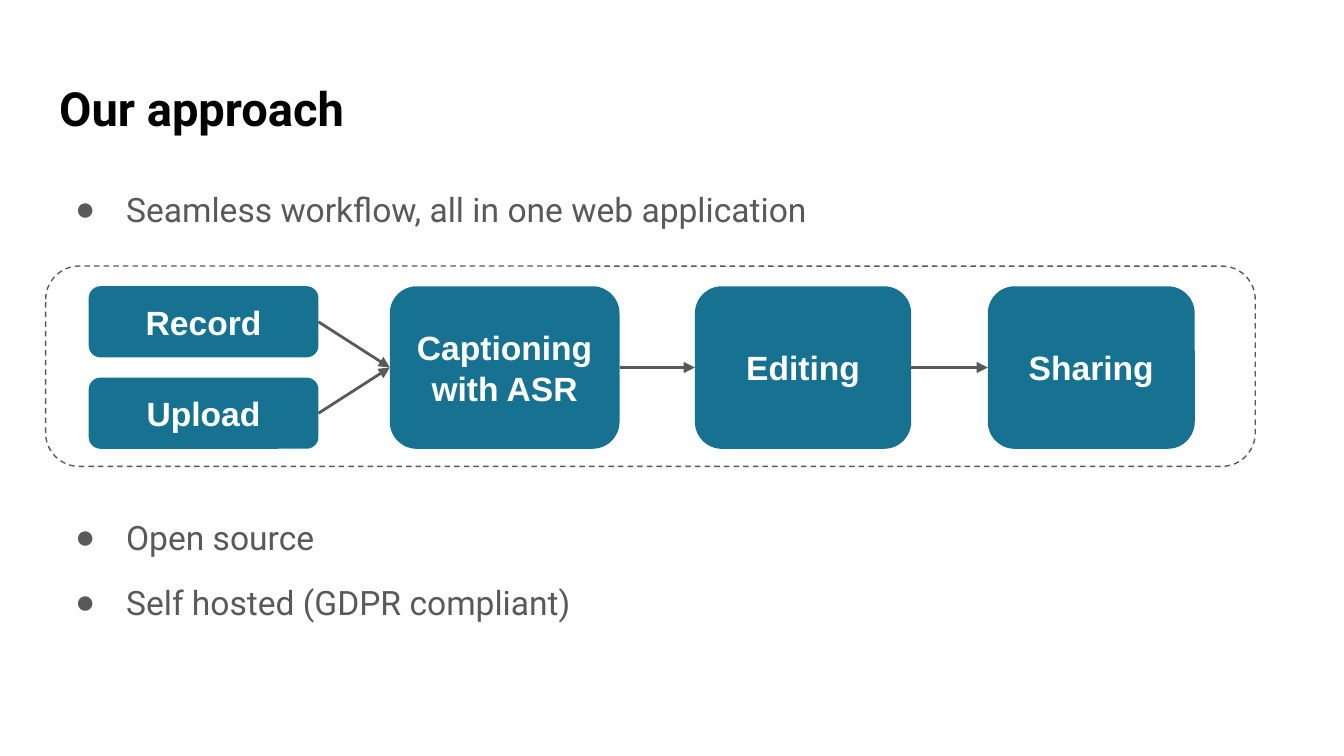
from pptx import Presentation
from pptx.dml.color import RGBColor
from pptx.enum.dml import MSO_LINE
from pptx.enum.shapes import MSO_CONNECTOR, MSO_SHAPE
from pptx.enum.text import MSO_ANCHOR, MSO_AUTO_SIZE, PP_ALIGN
from pptx.oxml.ns import qn
from pptx.util import Inches, Pt
from lxml.etree import SubElement

COLORS = {"title": "000000", "gray": "595959", "step": "177191", "step_text": "FFFFFF"}
LEFT_SITE, RIGHT_SITE = 1, 3
STEP_TOP, STEP_HEIGHT, SOURCE_HEIGHT = 2.13, 1.21, 0.53


def color(name):
    return RGBColor.from_string(COLORS[name])


def style_runs(paragraph, font_name, size, color_name, bold=False):
    for run in paragraph.runs:
        run.font.name = font_name
        run.font.size = Pt(size)
        run.font.bold = bold
        run.font.color.rgb = color(color_name)


def set_frame(text_frame, anchor):
    text_frame.word_wrap = True
    text_frame.auto_size = MSO_AUTO_SIZE.NONE
    text_frame.vertical_anchor = anchor
    for side in ("left", "top", "right", "bottom"):
        setattr(text_frame, f"margin_{side}", Inches(0.1))


def set_title(slide, text):
    title = slide.shapes.title
    title.left, title.top = Inches(0.34), Inches(0.49)
    title.width, title.height = Inches(9.32), Inches(0.63)
    title.text_frame.text = text
    set_frame(title.text_frame, MSO_ANCHOR.TOP)
    paragraph = title.text_frame.paragraphs[0]
    paragraph.alignment = PP_ALIGN.LEFT
    style_runs(paragraph, "Roboto", 25.2, "title", bold=True)


def add_bullet(paragraph):
    properties = paragraph._p.get_or_add_pPr()
    properties.set("marL", str(Inches(0.5)))
    properties.set("indent", str(Inches(-0.38)))
    bullet_color = SubElement(properties, qn("a:buClr"))
    SubElement(bullet_color, qn("a:srgbClr"), val=COLORS["gray"])
    SubElement(properties, qn("a:buFont"), typeface="Arial")
    SubElement(properties, qn("a:buChar"), char="●")


def add_bullet_list(slide, top, height, items):
    box = slide.shapes.add_textbox(Inches(0.34), Inches(top), Inches(9.32), Inches(height))
    text_frame = box.text_frame
    set_frame(text_frame, MSO_ANCHOR.TOP)
    text_frame.text = "\n".join(items)
    for paragraph in text_frame.paragraphs:
        paragraph.line_spacing = 1.15
        paragraph.space_after = Pt(10)
        add_bullet(paragraph)
        style_runs(paragraph, "Roboto", 18, "gray")


def add_rounded_box(slide, left, top, width, height):
    shape = slide.shapes.add_shape(
        MSO_SHAPE.ROUNDED_RECTANGLE, Inches(left), Inches(top), Inches(width), Inches(height)
    )
    shape.shadow.inherit = False
    return shape


def add_workflow_frame(slide):
    frame = add_rounded_box(slide, 0.34, 1.98, 9, 1.49)
    frame.fill.background()
    frame.line.color.rgb = color("gray")
    frame.line.width = Pt(0.75)
    frame.line.dash_style = MSO_LINE.DASH


def add_step(slide, text, left, width, top=STEP_TOP, height=STEP_HEIGHT):
    step = add_rounded_box(slide, left, top, width, height)
    step.fill.solid()
    step.fill.fore_color.rgb = color("step")
    step.line.fill.background()
    set_frame(step.text_frame, MSO_ANCHOR.MIDDLE)
    step.text_frame.text = text
    paragraph = step.text_frame.paragraphs[0]
    paragraph.alignment = PP_ALIGN.CENTER
    style_runs(paragraph, "Arial", 18, "step_text", bold=True)
    return step


def add_arrow(slide, source, target):
    arrow = slide.shapes.add_connector(MSO_CONNECTOR.STRAIGHT, 0, 0, 0, 0)
    arrow.begin_connect(source, RIGHT_SITE)
    arrow.end_connect(target, LEFT_SITE)
    arrow.line.color.rgb = color("gray")
    arrow.line.width = Pt(1.5)
    SubElement(arrow.line._get_or_add_ln(), qn("a:tailEnd"), type="triangle")
    SubElement(arrow._element.spPr, qn("a:effectLst"))


def add_workflow(slide):
    add_workflow_frame(slide)
    upload_top = STEP_TOP + STEP_HEIGHT - SOURCE_HEIGHT
    record = add_step(slide, "Record", 0.66, 1.71, STEP_TOP, SOURCE_HEIGHT)
    upload = add_step(slide, "Upload", 0.66, 1.71, upload_top, SOURCE_HEIGHT)
    captioning = add_step(slide, "Captioning with ASR", 2.9, 1.71)
    editing = add_step(slide, "Editing", 5.17, 1.61)
    sharing = add_step(slide, "Sharing", 7.35, 1.54)
    for source, target in (
        (upload, captioning),
        (record, captioning),
        (captioning, editing),
        (editing, sharing),
    ):
        add_arrow(slide, source, target)


def main():
    presentation = Presentation()
    presentation.slide_width = Inches(10)
    presentation.slide_height = Inches(10 * 9 / 16)
    slide = presentation.slides.add_slide(presentation.slide_layouts.get_by_name("Title Only"))
    set_title(slide, "Our approach")
    add_bullet_list(slide, 1.26, 0.72, ["Seamless workflow, all in one web application"])
    add_workflow(slide)
    add_bullet_list(slide, 3.7, 1.46, ["Open source", "Self hosted (GDPR compliant)"])
    presentation.save("out.pptx")


if __name__ == "__main__":
    main()
